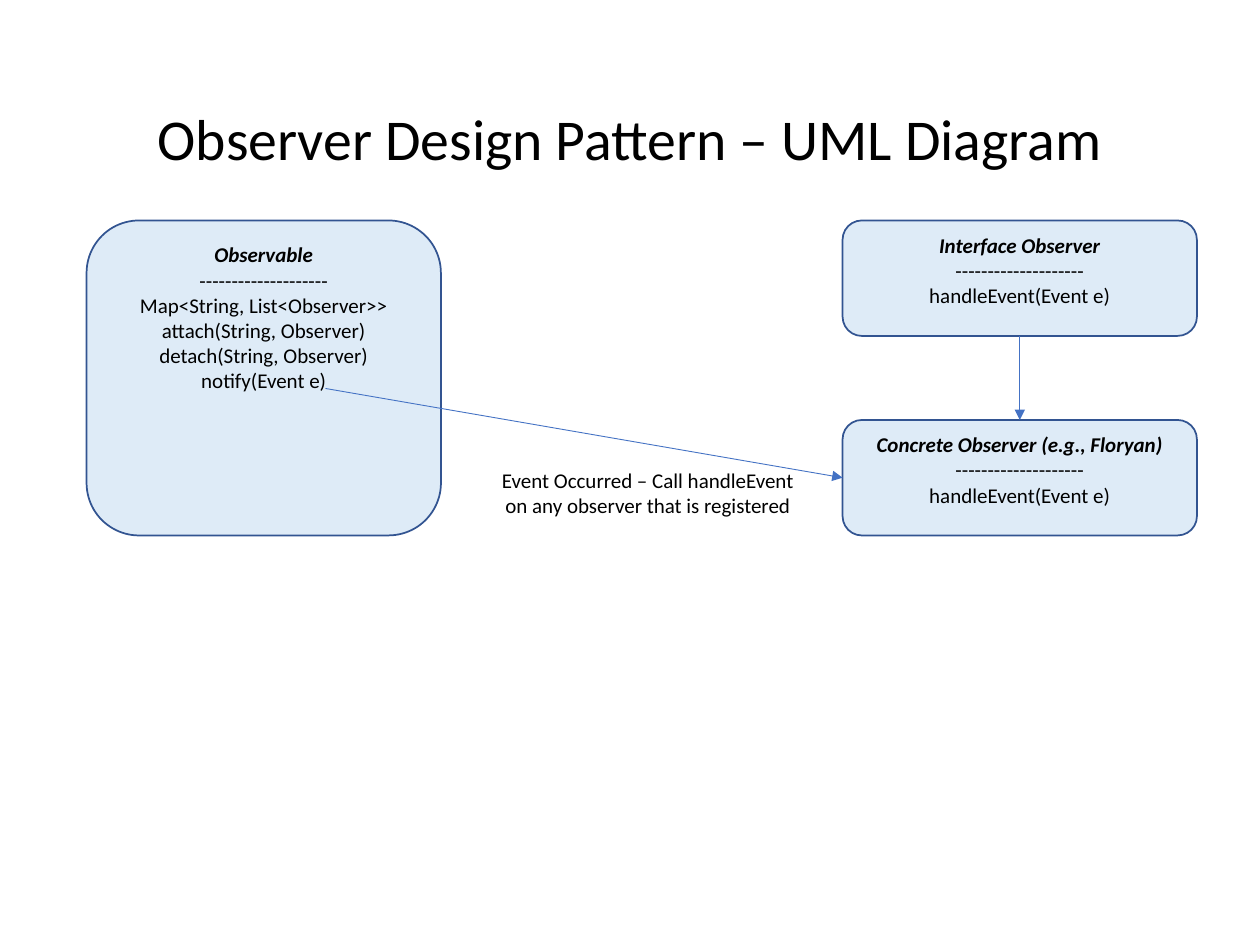
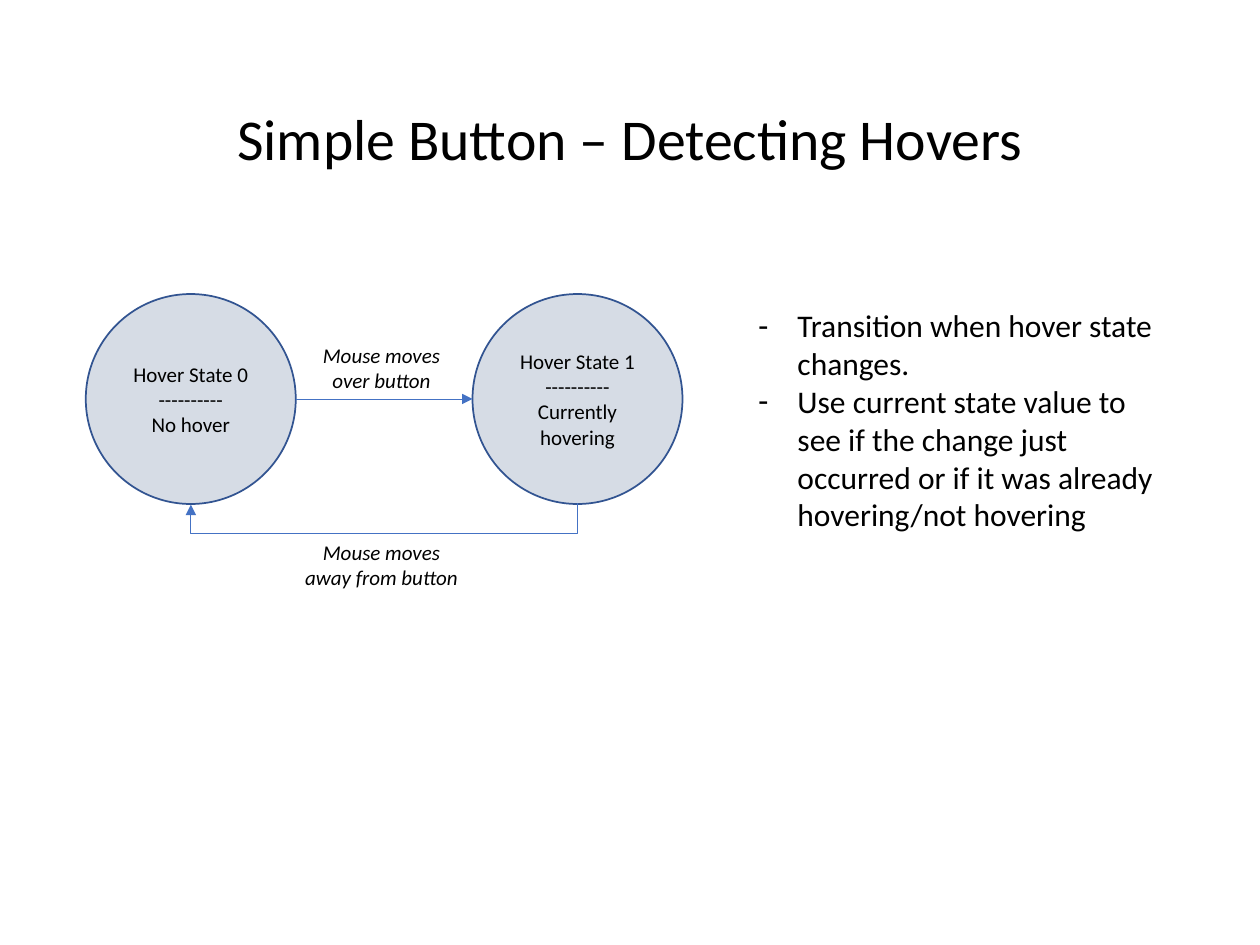
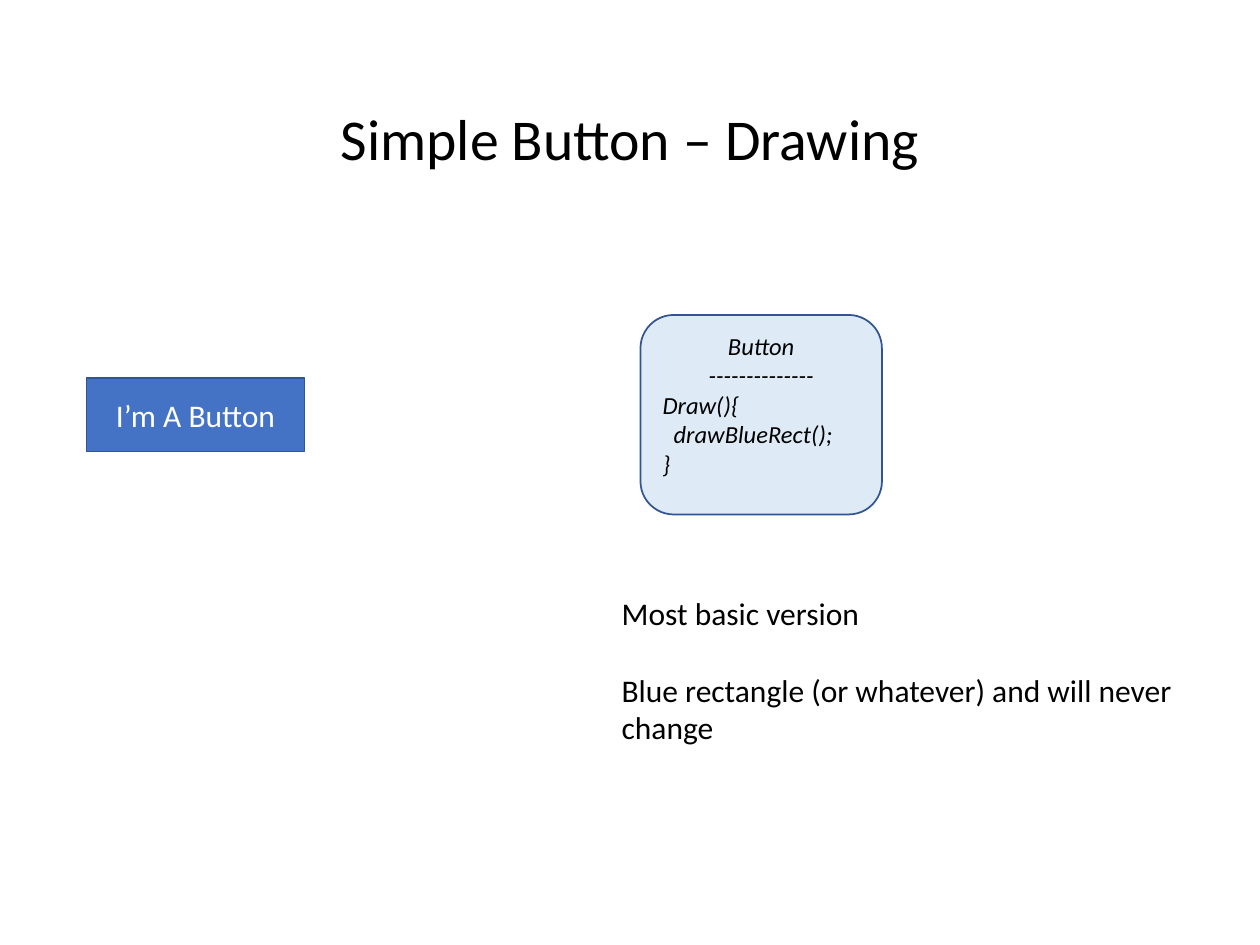
from lxml import etree
from pptx import Presentation
from pptx.dml.color import RGBColor
from pptx.enum.shapes import MSO_CONNECTOR, MSO_SHAPE
from pptx.enum.text import MSO_ANCHOR, MSO_AUTO_SIZE, PP_ALIGN
from pptx.oxml.ns import qn
from pptx.util import Pt

ROUNDED, OVAL, RECT = MSO_SHAPE.ROUNDED_RECTANGLE, MSO_SHAPE.OVAL, MSO_SHAPE.RECTANGLE
STRAIGHT, ELBOW = MSO_CONNECTOR.STRAIGHT, MSO_CONNECTOR.ELBOW
TOP, MIDDLE = MSO_ANCHOR.TOP, MSO_ANCHOR.MIDDLE
LEFT, CENTER = PP_ALIGN.LEFT, PP_ALIGN.CENTER
NO_FIT = MSO_AUTO_SIZE.NONE

FONT = "Calibri"
COLORS = {
    "text": "000000",
    "inverse": "FFFFFF",
    "class": "DEEBF7",
    "state": "D6DCE5",
    "button": "4472C4",
    "outline": "325491",
    "arrow": "4472C4",
}
TITLE_ONLY, TITLE_AND_LIST = 5, 1
TITLE_BOX = (49.5, 29, 621, 104.5)

CLASS_RULE = "-" * 20
OBSERVABLE = ["Observable", CLASS_RULE, "Map<String, List<Observer>>",
              "attach(String, Observer)", "detach(String, Observer)", "notify(Event e)"]
OBSERVERS = [
    [name, CLASS_RULE, "handleEvent(Event e)"]
    for name in ("Interface Observer", "Concrete Observer (e.g., Floryan)")
]
EVENT_NOTE = "Event Occurred – Call handleEvent on any observer that is registered"

STATE_RULE = "-" * 10
STATES = [
    ["Hover State 0", STATE_RULE, "No hover"],
    ["Hover State 1", STATE_RULE, "Currently hovering"],
]
ENTER_NOTE = "Mouse moves over button"
LEAVE_NOTE = "Mouse moves away from button"
HOVER_POINTS = [
    "Transition when hover state changes.",
    "Use current state value to see if the change just occurred "
    "or if it was already hovering/not hovering",
]

BUTTON_HEAD = ["Button", "-" * 14]
BUTTON_CODE = ["Draw(){", "drawBlueRect();", "}"]
DRAWING_POINTS = ["Most basic version", "Blue rectangle (or whatever) and will never change"]


def rgb(name):
    return RGBColor.from_string(COLORS[name])


def place(part, box):
    part.left, part.top, part.width, part.height = map(Pt, box)


def write(frame, lines, size, align=CENTER, color="text", italic=False, anchor=TOP):
    frame.word_wrap = True
    frame.auto_size = NO_FIT
    frame.vertical_anchor = anchor
    frame.text = "\n".join(lines)
    for paragraph in frame.paragraphs:
        paragraph.alignment = align
        font = paragraph.font
        font.name, font.size, font.italic = FONT, Pt(size), italic
        font.color.rgb = rgb(color)
    return frame.paragraphs


def new_slide(deck, layout, heading):
    slide = deck.slides.add_slide(deck.slide_layouts[layout])
    title = slide.shapes.title
    place(title, TITLE_BOX)
    write(title.text_frame, [heading], 33, anchor=MIDDLE)[0].line_spacing = 0.9
    return slide


def add_box(slide, preset, box, fill, lines, size, **style):
    shape = slide.shapes.add_shape(preset, *map(Pt, box))
    shape.shadow.inherit = False
    shape.fill.solid()
    shape.fill.fore_color.rgb = rgb(fill)
    shape.line.color.rgb = rgb("outline")
    shape.line.width = Pt(1)
    return write(shape.text_frame, lines, size, **style)


def add_class(slide, box, lines):
    heading = add_box(slide, ROUNDED, box, "class", lines, 12)[0]
    heading.font.bold = heading.font.italic = True


def add_note(slide, box, text, italic=False):
    note = slide.shapes.add_textbox(*map(Pt, box))
    write(note.text_frame, [text], 12, italic=italic)


def add_arrow(slide, start, end, kind=STRAIGHT):
    arrow = slide.shapes.add_connector(kind, *map(Pt, (*start, *end)))
    arrow.line.color.rgb = rgb("arrow")
    arrow.line.width = Pt(0.5)
    properties = arrow._element.spPr
    etree.SubElement(properties.find(qn("a:ln")), qn("a:tailEnd"), type="triangle")
    etree.SubElement(properties, qn("a:effectLst"))
    return arrow


def add_return_arrow(slide, start_x, end_x, y, drop):
    depth = 0.75
    span = start_x - end_x
    center = (start_x + end_x) / 2
    arrow = add_arrow(slide, (center - depth / 2, y - span / 2),
                      (center + depth / 2, y + span / 2), ELBOW)
    arrow.rotation = 90
    guides = arrow._element.spPr.find(qn("a:prstGeom")).get_or_add_avLst()
    etree.SubElement(guides, qn("a:gd"), name="adj1",
                     fmla=f"val {round(drop / depth * 100000)}")


def fill_list(slide, box, points, bullet=None, indent=0, gap=0):
    body = slide.placeholders[1]
    place(body, box)
    for number, paragraph in enumerate(write(body.text_frame, points, 18, align=LEFT)):
        paragraph.space_before = Pt(gap if number else 0)
        properties = paragraph._p.get_or_add_pPr()
        properties.set("marL", str(Pt(indent)))
        properties.set("indent", str(Pt(-indent)))
        mark = etree.Element(qn("a:buChar"), char=bullet) if bullet else etree.Element(qn("a:buNone"))
        properties.find(qn("a:defRPr")).addprevious(mark)


def observer_slide(deck):
    slide = new_slide(deck, TITLE_ONLY, "Observer Design Pattern – UML Diagram")
    top, width, height, pitch = 126, 202.5, 66, 114
    observer_left = 481.5
    add_class(slide, (49.5, top, width, pitch + height), OBSERVABLE)
    for row, lines in enumerate(OBSERVERS):
        add_class(slide, (observer_left, top + row * pitch, width, height), lines)
    middle = observer_left + width / 2
    add_arrow(slide, (middle, top + height), (middle, top + pitch))
    add_arrow(slide, (186, 222), (observer_left, top + pitch + height / 2))
    add_note(slide, (277.5, 263.5, 185.5, 36), EVENT_NOTE)


def hover_slide(deck):
    slide = new_slide(deck, TITLE_AND_LIST, "Simple Button – Detecting Hovers")
    left, top, size, pitch = 49, 168, 120, 221
    for column, lines in enumerate(STATES):
        add_box(slide, OVAL, (left + column * pitch, top, size, size),
                "state", lines, 12, anchor=MIDDLE)
    middle = top + size / 2
    add_arrow(slide, (left + size, middle), (left + pitch, middle))
    first_center = left + size / 2
    add_return_arrow(slide, first_center + pitch, first_center, top + size, 17.5)
    for note_top, text in ((192, ENTER_NOTE), (304.5, LEAVE_NOTE)):
        add_note(slide, (166.5, note_top, 103, 36), text, italic=True)
    fill_list(slide, (426, 171.5, 252, 138), HOVER_POINTS, bullet="-", indent=22.5)


def drawing_slide(deck):
    slide = new_slide(deck, TITLE_AND_LIST, "Simple Button – Drawing")
    lines = add_box(slide, ROUNDED, (366, 180, 138, 114), "class",
                    BUTTON_HEAD + BUTTON_CODE, 14, italic=True)
    code = lines[len(BUTTON_HEAD):]
    for line in code:
        line.alignment = LEFT
    code[1]._p.get_or_add_pPr().set("marL", str(Pt(6.3)))
    fill_list(slide, (348, 336, 354, 94.5), DRAWING_POINTS, gap=22)
    add_box(slide, RECT, (49.5, 216, 124.5, 42), "button", ["I’m A Button"], 18,
            color="inverse", anchor=MIDDLE)


def main():
    deck = Presentation()
    deck.slide_width, deck.slide_height = Pt(720), Pt(540)
    observer_slide(deck)
    hover_slide(deck)
    drawing_slide(deck)
    deck.save("out.pptx")


if __name__ == "__main__":
    main()
